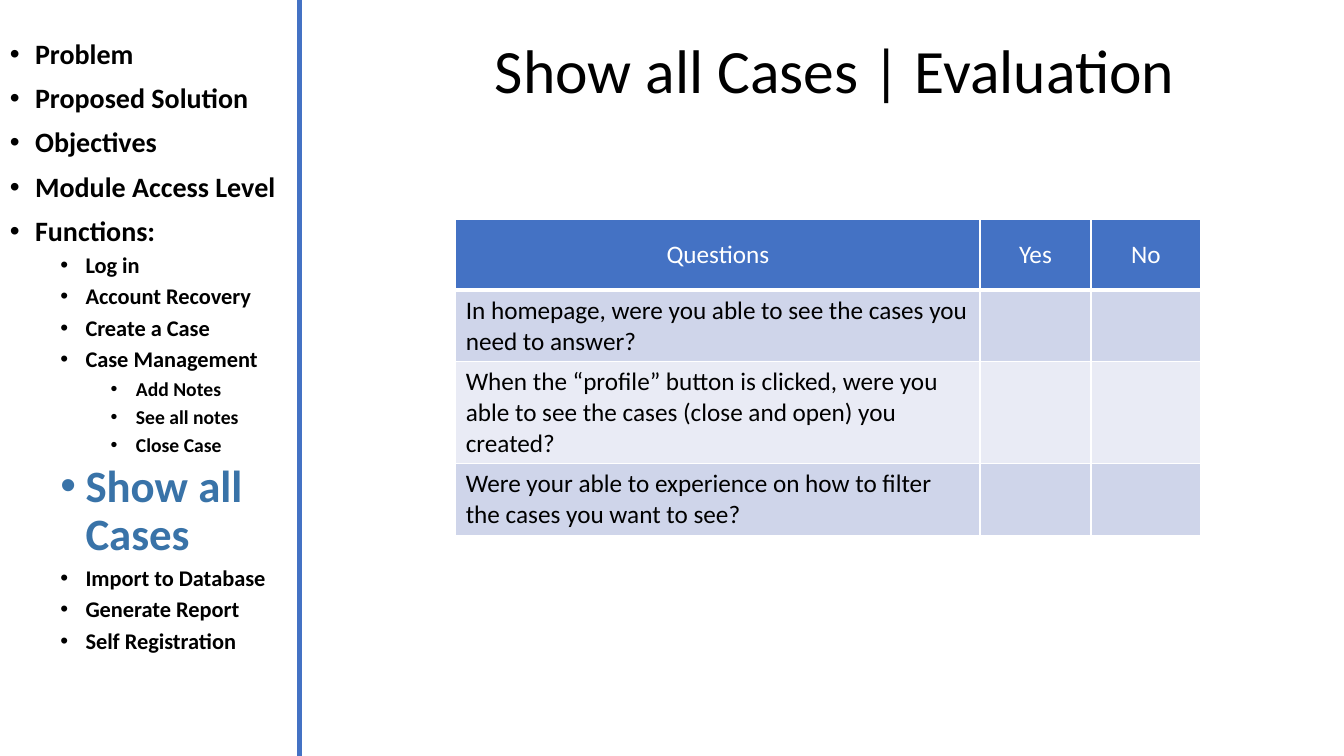
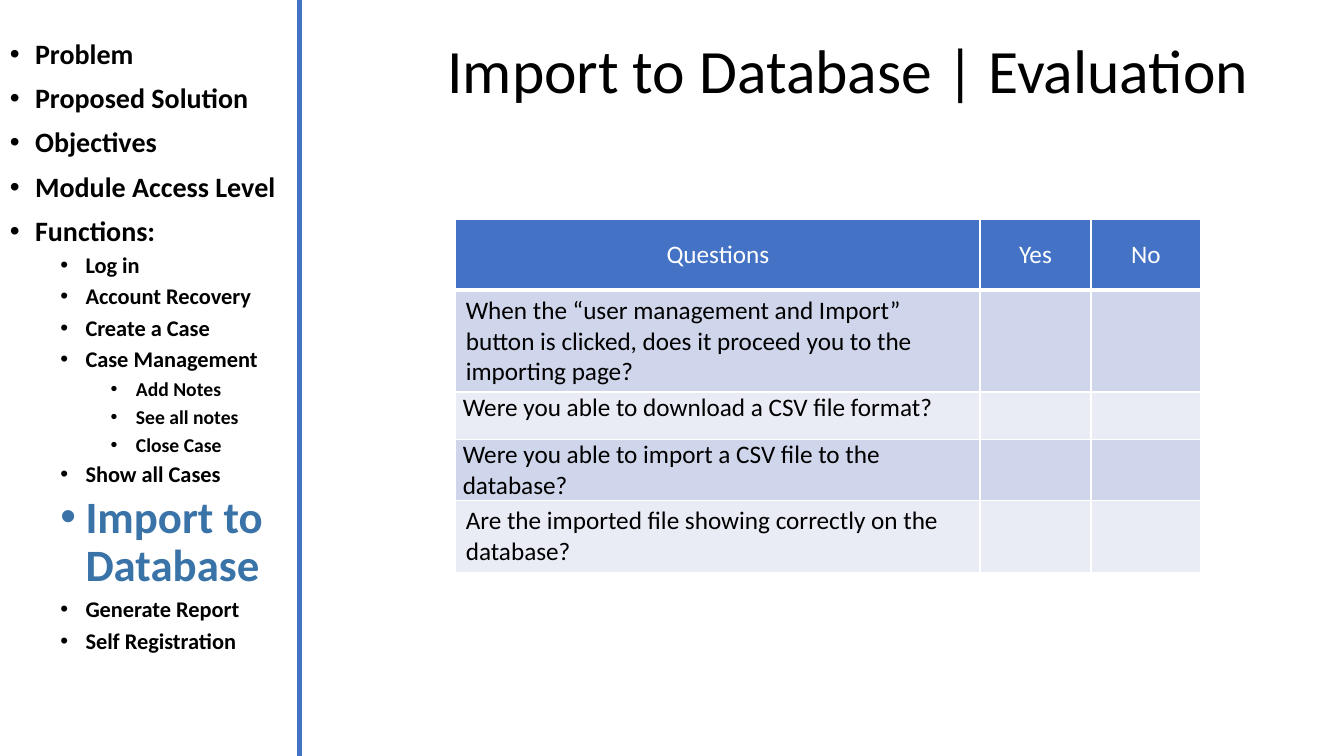
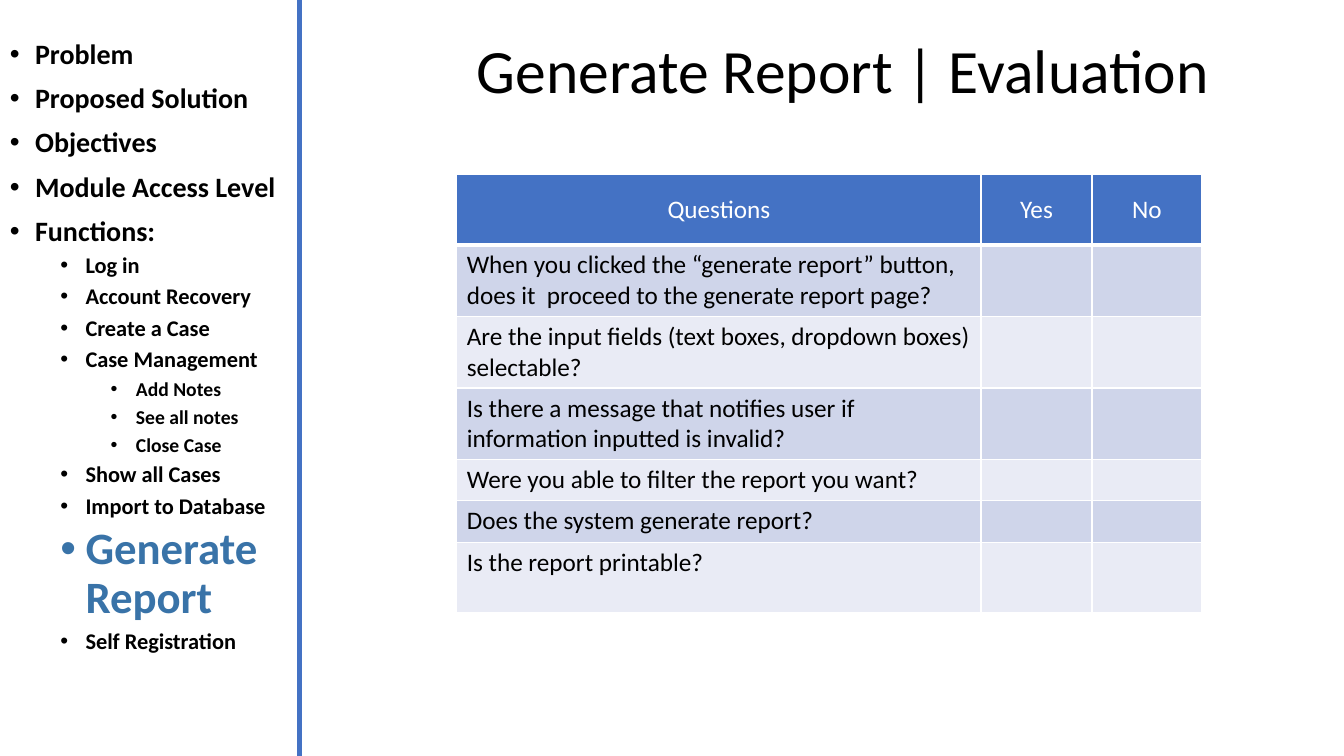
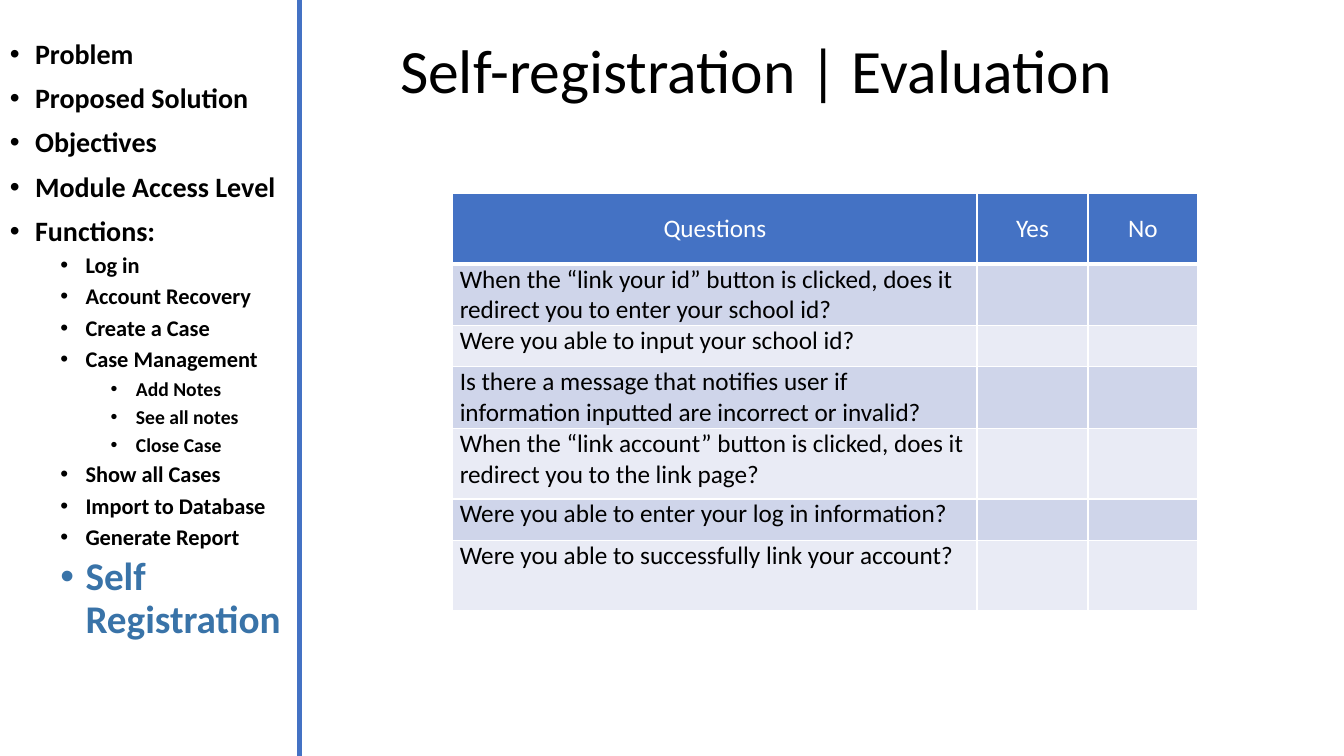
"""Build four evaluation slides with a shared agenda sidebar."""
from lxml.etree import SubElement
from pptx import Presentation
from pptx.dml.color import RGBColor
from pptx.enum.shapes import MSO_CONNECTOR
from pptx.enum.text import MSO_ANCHOR, PP_ALIGN
from pptx.oxml import parse_xml
from pptx.oxml.ns import nsdecls, qn
from pptx.util import Inches, Pt

FONT = "Calibri"
BLACK = RGBColor(0x00, 0x00, 0x00)
WHITE = RGBColor(0xFF, 0xFF, 0xFF)
BLUE = RGBColor(0x44, 0x72, 0xC4)
ACCENT = RGBColor(0x39, 0x73, 0xA8)
BANDS = [RGBColor(0xCF, 0xD5, 0xEA), RGBColor(0xE9, 0xEB, 0xF5)]

LEVEL_SIZES = [20, 16, 14]
LEVEL_GAPS = [10, 5, 5]
COLUMNS = [("Questions", 5.2), ("Yes", 1.1), ("No", 1.09)]
HEADER_HEIGHT = 0.7

AGENDA = [
    (0, "Problem"),
    (0, "Proposed Solution"),
    (0, "Objectives"),
    (0, "Module Access Level"),
    (0, "Functions:"),
    (1, "Log in"),
    (1, "Account Recovery"),
    (1, "Create a Case"),
    (1, "Case Management"),
    (2, "Add Notes"),
    (2, "See all notes"),
    (2, "Close Case"),
    (1, "Show all Cases"),
    (1, "Import to Database"),
    (1, "Generate Report"),
    (1, "Self Registration"),
]

# Each question holds its text, row height and whether its cell is tight.
SLIDES = [
    {
        "title": "Show all Cases | Evaluation", "title_at": (4.81, 7.69),
        "current": "Show all Cases", "current_size": 32, "sidebar_width": 2.86,
        "table_at": (4.52, 2.18),
        "questions": [
            ("In homepage, were you able to see the cases you need to answer?", 0.71, False),
            ("When the “profile” button is clicked, were you able to see the cases "
             "(close and open) you created?", 1.01, False),
            ("Were your able to experience on how to filter the cases you want to see?", 0.71, False),
        ],
    },
    {
        "title": "Import to Database | Evaluation", "title_at": (4.34, 8.32),
        "current": "Import to Database", "current_size": 32, "sidebar_width": 2.86,
        "table_at": (4.52, 2.18),
        "questions": [
            ("When the “user management and Import” button is clicked, does it proceed "
             "you to the importing page?", 1.01, False),
            ("Were you able to download a CSV file format?", 0.47, True),
            ("Were you able to import a CSV file to the database?", 0.61, True),
            ("Are the imported file showing correctly on the database?", 0.71, False),
        ],
    },
    {
        "title": "Generate Report | Evaluation", "title_at": (4.63, 7.69),
        "current": "Generate Report", "current_size": 32, "sidebar_width": 2.86,
        "table_at": (4.53, 1.73),
        "questions": [
            ("When you clicked the “generate report” button, does it  proceed to the "
             "generate report page?", 0.71, False),
            ("Are the input fields (text boxes, dropdown boxes) selectable?", 0.71, False),
            ("Is there a message that notifies user if  information inputted is invalid?", 0.71, False),
            ("Were you able to filter the report you want?", 0.41, False),
            ("Does the system generate report?", 0.41, False),
            ("Is the report printable?", 0.7, False),
        ],
    },
    {
        "title": "Self-registration | Evaluation", "title_at": (3.87, 7.64),
        "current": "Self Registration", "current_size": 28, "sidebar_width": 3.24,
        "table_at": (4.49, 1.92),
        "questions": [
            ("When the “link your id” button is clicked, does it redirect you to enter "
             "your school id?", 0.61, True),
            ("Were you able to input your school id?", 0.41, True),
            ("Is there a message that notifies user if information inputted are "
             "incorrect or invalid?", 0.61, True),
            ("When the “link account” button is clicked, does it redirect you to the "
             "link page?", 0.7, True),
            ("Were you able to enter your log in information?", 0.41, True),
            ("Were you able to successfully link your account?", 0.7, True),
        ],
    },
]


def style(paragraph, size, color, bold=False):
    font = paragraph.font
    font.name, font.size, font.bold = FONT, Pt(size), bold
    font.color.rgb = color


def add_box(page, left, top, width, height):
    box = page.shapes.add_textbox(Inches(left), Inches(top), Inches(width), Inches(height))
    box.text_frame.word_wrap = True
    return box.text_frame


def add_divider(page):
    line = page.shapes.add_connector(
        MSO_CONNECTOR.STRAIGHT, Inches(2.97), 0, Inches(2.97), Inches(7.5))
    line.line.color.rgb = BLUE
    line.line.width = Pt(3)
    SubElement(line._element.spPr, qn("a:effectLst"))


def add_title(page, text, left, width):
    frame = add_box(page, left, 0, width, 1.45)
    frame.vertical_anchor = MSO_ANCHOR.MIDDLE
    para = frame.paragraphs[0]
    para.text = text
    para.line_spacing = 0.9
    style(para, 44, BLACK)


def add_sidebar(page, width, current, current_size):
    frame = add_box(page, 0, 0.35, width, 7.15)
    for index, (level, text) in enumerate(AGENDA):
        para = frame.add_paragraph() if index else frame.paragraphs[0]
        para.text = text
        para.level = level
        properties = para._p.get_or_add_pPr()
        properties.set("marL", str(Inches(0.25 + 0.5 * level)))
        properties.set("indent", str(Inches(-0.25)))
        SubElement(properties, qn("a:buFont")).set("typeface", "Arial")
        SubElement(properties, qn("a:buChar")).set("char", "•")
        para.line_spacing = 0.9
        if index:
            para.space_before = Pt(LEVEL_GAPS[level])
        if text == current:
            style(para, current_size, ACCENT, True)
        else:
            style(para, LEVEL_SIZES[level], BLACK, True)


def paint_cell(cell, fill, bottom=1):
    properties = cell._tc.get_or_add_tcPr()
    for side, width in (("L", 1), ("R", 1), ("T", 1), ("B", bottom)):
        properties.append(parse_xml(
            f'<a:ln{side} {nsdecls("a")} w="{Pt(width)}"><a:solidFill>'
            f'<a:srgbClr val="{WHITE}"/></a:solidFill></a:ln{side}>'))
    cell.fill.solid()
    cell.fill.fore_color.rgb = fill


def add_questions(page, left, top, questions):
    heights = [HEADER_HEIGHT] + [height for _, height, _ in questions]
    width = sum(size for _, size in COLUMNS)
    table = page.shapes.add_table(
        len(heights), len(COLUMNS), Inches(left), Inches(top),
        Inches(width), Inches(sum(heights))).table
    table.first_row = table.horz_banding = False
    for row, height in zip(table.rows, heights):
        row.height = Inches(height)
    for index, (label, size) in enumerate(COLUMNS):
        table.columns[index].width = Inches(size)
        cell = table.cell(0, index)
        paint_cell(cell, BLUE, bottom=3)
        cell.vertical_anchor = MSO_ANCHOR.MIDDLE
        para = cell.text_frame.paragraphs[0]
        para.text = label
        para.alignment = PP_ALIGN.CENTER
        style(para, 18, WHITE)
    for index, (question, _, tight) in enumerate(questions):
        for cell in table.rows[index + 1].cells:
            paint_cell(cell, BANDS[index % 2])
        cell = table.cell(index + 1, 0)
        if tight:
            cell.margin_left = cell.margin_right = Inches(0.07)
            cell.margin_top = cell.margin_bottom = 0
        para = cell.text_frame.paragraphs[0]
        para.text = question
        style(para, 18, BLACK)


def main():
    deck = Presentation()
    deck.slide_width, deck.slide_height = Inches(13.33), Inches(7.5)
    for content in SLIDES:
        page = deck.slides.add_slide(deck.slide_layouts[6])
        add_divider(page)
        add_title(page, content["title"], *content["title_at"])
        add_questions(page, *content["table_at"], content["questions"])
        add_sidebar(page, content["sidebar_width"], content["current"], content["current_size"])
    deck.save("out.pptx")


if __name__ == "__main__":
    main()
